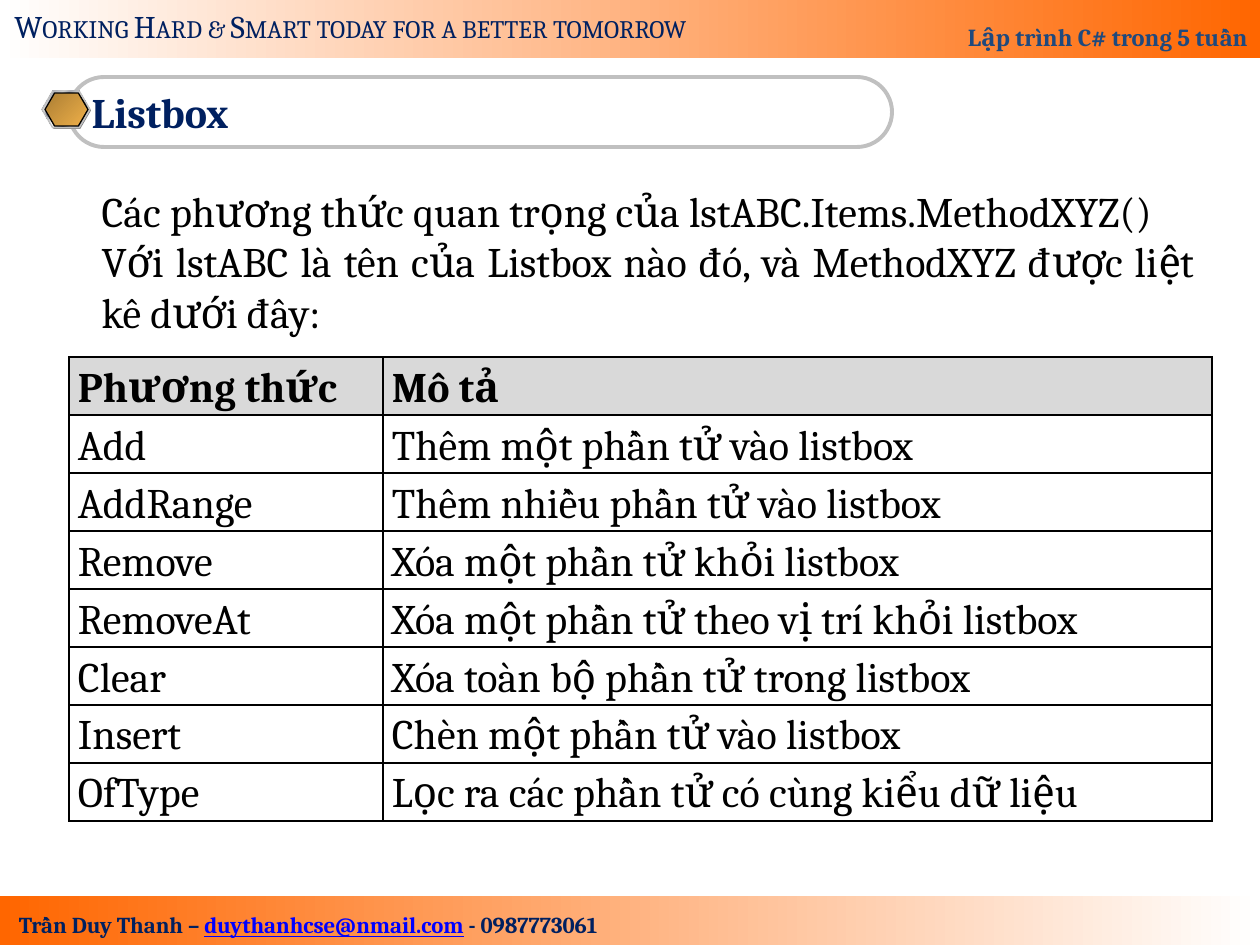
from copy import deepcopy

from lxml import etree
from pptx import Presentation
from pptx import util as u
from pptx.dml.color import RGBColor
from pptx.enum import shapes, text
from pptx.oxml.ns import qn

EMU_PER_PX = 914400 / 126
FONT = "Cambria"
COLORS = {
    "white": "FFFFFF", "orange": "FF6600", "navy": "002060", "blue": "1F497D",
    "link": "0000FF", "silver": "C0C0C0", "gray": "808080", "black": "000000",
    "header": "D9D9D9", "bronze": "AB7E34", "gold": "EFB049",
    "steel": "7D8496", "pale": "E6E6E6",
}
METHODS = [
    ("Phương thức", "Mô tả"),
    ("Add", "Thêm một phần tử vào listbox"),
    ("AddRange", "Thêm nhiều phần tử vào listbox"),
    ("Remove", "Xóa một phần tử khỏi listbox"),
    ("RemoveAt", "Xóa một phần tử theo vị trí khỏi listbox"),
    ("Clear", "Xóa toàn bộ phần tử trong listbox"),
    ("Insert", "Chèn một phần tử vào listbox"),
    ("OfType", "Lọc ra các phần tử có cùng kiểu dữ liệu"),
]
INTRO = [
    "Các phương thức quan trọng của lstABC.Items.MethodXYZ()",
    "Với lstABC là tên của Listbox nào đó, và MethodXYZ được liệt kê dưới đây:",
]
CHROME = [(0, "pale"), (7, "steel"), (26, "pale"), (34, "steel"), (46, "pale"),
          (50, "white"), (54, "pale"), (66, "steel"), (74, "pale"),
          (93, "steel"), (100, "pale")]


def px(value):
    return u.Emu(round(value * EMU_PER_PX))


def rgb(name):
    return RGBColor.from_string(COLORS[name])


def style(paragraph, size, color, bold=False, align=text.PP_ALIGN.LEFT):
    paragraph.alignment = align
    font = paragraph.font
    font.name, font.size, font.bold = FONT, u.Pt(size), bold
    font.color.rgb = rgb(color)
    return font


def paint_gradient(shape, stops, angle):
    shape.fill.gradient()
    shape.fill.gradient_angle = -angle % 360
    stop_list = shape._element.spPr.find(".//" + qn("a:gsLst"))
    for _ in stops[2:]:
        stop_list.append(deepcopy(stop_list[0]))
    for stop, (position, color) in zip(shape.fill.gradient_stops, stops):
        stop.position = position / 100
        stop.color.rgb = rgb(color)


def add_outline(slide, kind, box, line=None, weight=0.75):
    shape = slide.shapes.add_shape(kind, *map(px, box))
    shape.shadow.inherit = False
    shape.fill.background()
    if line:
        shape.line.color.rgb = rgb(line)
        shape.line.width = u.Pt(weight)
    else:
        shape.line.fill.background()
    return shape


def add_bar(slide, box, start, end):
    bar = add_outline(slide, shapes.MSO_SHAPE.RECTANGLE, box)
    paint_gradient(bar, [(0, start), (100, end)], 0)
    return bar


def add_hexagon(slide, box, line=None):
    hexagon = add_outline(slide, shapes.MSO_SHAPE.HEXAGON, box, line)
    hexagon.adjustments[0] = 0.29
    hexagon.adjustments[1] = 1.15
    return hexagon


def add_label(slide, box):
    label = slide.shapes.add_textbox(*map(px, box))
    label.text_frame.word_wrap = False
    return label.text_frame.paragraphs[0]


def place(placeholder, box):
    placeholder.left, placeholder.top, placeholder.width, placeholder.height = map(px, box)
    placeholder.text_frame.auto_size = text.MSO_AUTO_SIZE.NONE
    return placeholder.text_frame


def add_header(slide):
    bar = add_bar(slide, (0, 0, 1260, 58), "white", "orange")
    bar.text_frame.vertical_anchor = text.MSO_ANCHOR.BOTTOM
    course = bar.text_frame.paragraphs[0]
    course.text = "Lập trình C# trong 5 tuần"
    course.line_spacing = 1.8
    style(course, 14, "blue", True, text.PP_ALIGN.RIGHT)
    motto = add_label(slide, (2, 1, 743, 50))
    motto.text = "Working Hard & Smart today for a better tomorrow"
    style(motto, 18, "navy")._rPr.set("cap", "small")


def add_footer(slide):
    add_bar(slide, (0, 896, 1260, 49), "orange", "white")
    contact = add_label(slide, (-10, 905, 636, 40))
    style(contact, 13, "navy", True, text.PP_ALIGN.CENTER)
    for words, color in (("Trần Duy Thanh – ", "navy"),
                         ("duythanhcse@nmail.com", "link"),
                         (" - 0987773061", "navy")):
        run = contact.add_run()
        run.text = words
        run.font.color.rgb = rgb(color)
        run.font.underline = color == "link"


def add_heading(slide):
    capsule = add_outline(slide, shapes.MSO_SHAPE.ROUNDED_RECTANGLE,
                          (69, 77, 823, 70), "silver", 2.25)
    capsule.adjustments[0] = 0.5
    shade = add_hexagon(slide, (43, 92, 48, 37))
    shade.fill.solid()
    shade.fill.fore_color.rgb = rgb("gray")
    rim = add_hexagon(slide, (42, 91, 48, 37), "silver")
    paint_gradient(rim, CHROME, 45)
    gem = add_hexagon(slide, (45, 93, 43, 33), "black")
    paint_gradient(gem, [(0, "bronze"), (100, "gold")], 45)
    frame = place(slide.shapes.title, (79, 77, 803, 70))
    frame.vertical_anchor = text.MSO_ANCHOR.MIDDLE
    frame.text = "Listbox"
    style(frame.paragraphs[0], 24, "navy", True)


def add_intro(slide):
    frame = place(slide.placeholders[1], (89, 179, 1118, 165))
    frame.text = "\n".join(INTRO)
    for paragraph in frame.paragraphs:
        properties = paragraph._p.get_or_add_pPr()
        properties.set("marL", "0")
        properties.set("indent", "0")
        etree.SubElement(properties, qn("a:buNone"))
        paragraph.space_before = u.Pt(0)
        style(paragraph, 24, "black", align=text.PP_ALIGN.JUSTIFY)


def add_borders(cell):
    properties = cell._tc.get_or_add_tcPr()
    for index, side in enumerate(("lnL", "lnR", "lnT", "lnB")):
        line = etree.Element(qn("a:" + side), w=str(u.Pt(1)))
        fill = etree.SubElement(line, qn("a:solidFill"))
        etree.SubElement(fill, qn("a:srgbClr"), val=COLORS["black"])
        properties.insert(index, line)


def add_methods(slide):
    widths, row_height = (314, 829), 58
    box = (69, 357, sum(widths), row_height * len(METHODS))
    table = slide.shapes.add_table(len(METHODS), len(widths), *map(px, box)).table
    table.horz_banding = False
    for column, width in zip(table.columns, widths):
        column.width = px(width)
    for row_index, row in enumerate(METHODS):
        is_header = row_index == 0
        table.rows[row_index].height = px(row_height)
        for column_index, words in enumerate(row):
            cell = table.cell(row_index, column_index)
            cell.margin_left = cell.margin_right = px(9)
            cell.margin_top = cell.margin_bottom = 0
            cell.fill.solid()
            cell.fill.fore_color.rgb = rgb("header" if is_header else "white")
            add_borders(cell)
            cell.text = words
            paragraph = cell.text_frame.paragraphs[0]
            paragraph.line_spacing = 1.15
            style(paragraph, 24, "black", is_header, text.PP_ALIGN.JUSTIFY)


def main():
    deck = Presentation()
    deck.slide_width, deck.slide_height = px(1260), px(945)
    slide = deck.slides.add_slide(deck.slide_layouts[1])
    add_footer(slide)
    add_header(slide)
    add_heading(slide)
    add_methods(slide)
    add_intro(slide)
    deck.save("out.pptx")


if __name__ == "__main__":
    main()
